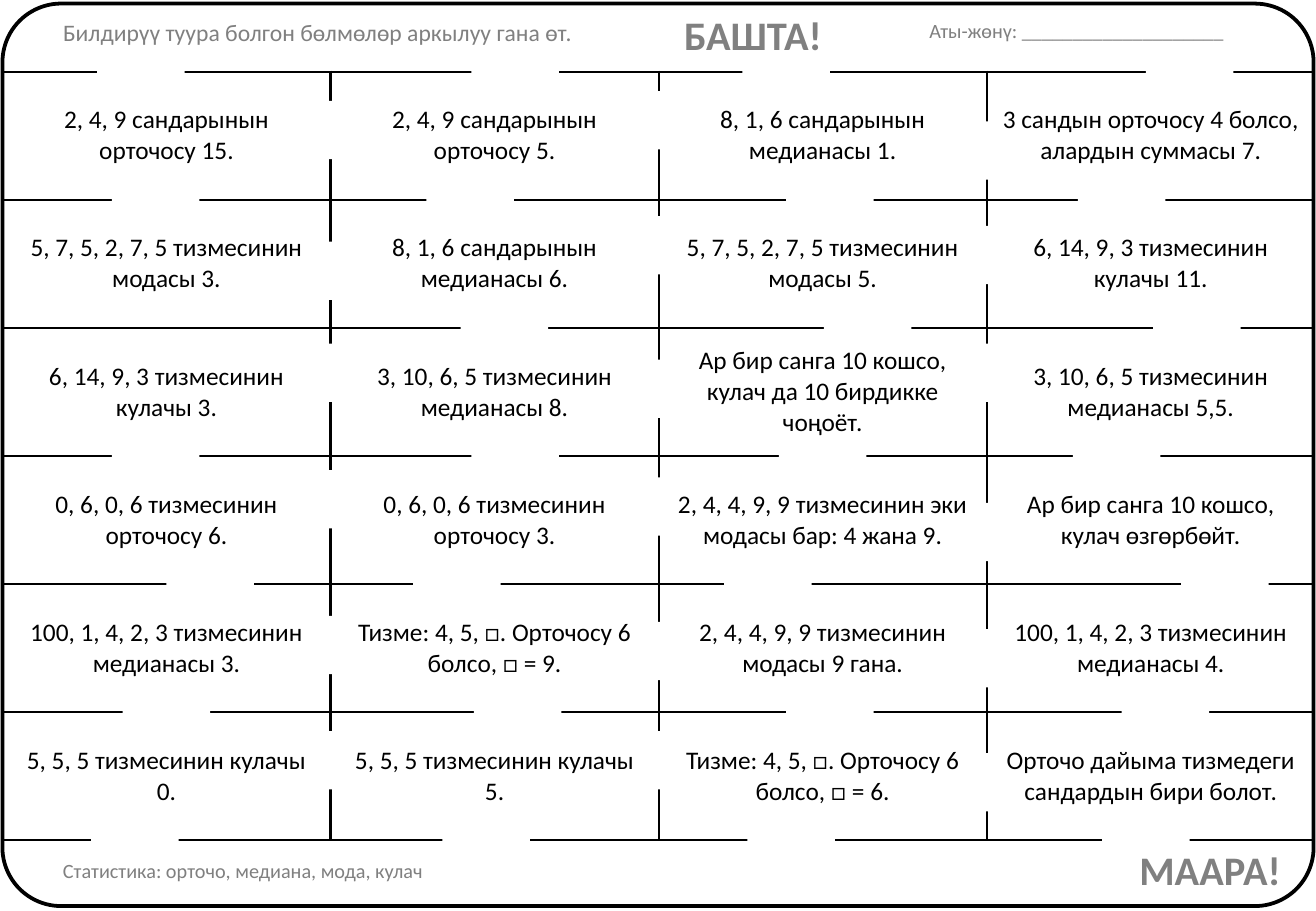
import pptx
import pptx.util
import pptx.dml.color
import pptx.enum.shapes
import pptx.enum.text
from lxml import etree

ROOMS = [
    ["2, 4, 9 сандарынын орточосу 15.", "2, 4, 9 сандарынын орточосу 5.",
     "8, 1, 6 сандарынын медианасы 1.", "3 сандын орточосу 4 болсо, алардын суммасы 7."],
    ["5, 7, 5, 2, 7, 5 тизмесинин модасы 3.", "8, 1, 6 сандарынын медианасы 6.",
     "5, 7, 5, 2, 7, 5 тизмесинин модасы 5.", "6, 14, 9, 3 тизмесинин кулачы 11."],
    ["6, 14, 9, 3 тизмесинин кулачы 3.", "3, 10, 6, 5 тизмесинин медианасы 8.",
     "Ар бир санга 10 кошсо, кулач да 10 бирдикке чоңоёт.",
     "3, 10, 6, 5 тизмесинин медианасы 5,5."],
    ["0, 6, 0, 6 тизмесинин орточосу 6.", "0, 6, 0, 6 тизмесинин орточосу 3.",
     "2, 4, 4, 9, 9 тизмесинин эки модасы бар: 4 жана 9.",
     "Ар бир санга 10 кошсо, кулач өзгөрбөйт."],
    ["100, 1, 4, 2, 3 тизмесинин медианасы 3.", "Тизме: 4, 5, □. Орточосу 6 болсо, □ = 9.",
     "2, 4, 4, 9, 9 тизмесинин модасы 9 гана.", "100, 1, 4, 2, 3 тизмесинин медианасы 4."],
    ["5, 5, 5 тизмесинин кулачы 0.", "5, 5, 5 тизмесинин кулачы 5.",
     "Тизме: 4, 5, □. Орточосу 6 болсо, □ = 6.",
     "Орточо дайыма тизмедеги сандардын бири болот."],
]
# Door tops in the three inner walls, one tuple per row of rooms
SIDE_DOORS = [(83, 75, 100), (199, 178, 186), (283, 296, 283),
              (387, 393, 414), (507, 512, 518), (602, 602, 620)]
# Door left edges in each of the seven level walls
LEVEL_DOORS = [(80, 388, 611, 943), (92, 351, 647, 887), (379, 678, 949),
               (92, 388, 641, 883), (137, 340, 596, 972), (101, 390, 647, 923),
               (75, 364, 615, 907)]
# Words, box, size, bold, align, side and top inset
LABELS = [
    ("Билдирүү туура болгон бөлмөлөр аркылуу гана өт.", (42, 10, 468, 34), 14, False, "LEFT", 10, 5),
    ("МААРА!", (865, 696, 189, 44), 24, True, "RIGHT", 0, 0),
    ("БАШТА!", (563, 8, 177, 42), 24, True, "LEFT", 0, 0),
    ("Статистика: орточо, медиана, мода, кулач", (42, 702, 547, 33), 12, False, "LEFT", 10, 5),
    ("Аты-жөнү: ____________________", (755, 10, 320, 34), 12, False, "LEFT", 10, 5),
]
COLORS = {"ink": "000000", "paper": "FFFFFF", "grey": "808080"}
FONT = "Calibri"
LEFT, TOP, WIDTH, HEIGHT = 2, 4, 1079, 743
COL, EDGE = 270, 55
ROW = (HEIGHT - 2 * EDGE) / len(ROOMS)


def px(n):
    return pptx.util.Emu(round(n * 9144))


def color(name):
    return pptx.dml.color.RGBColor.from_string(COLORS[name])


def write(frame, words, size, tint, align, bold=False):
    para = frame.paragraphs[0]
    para.alignment = getattr(pptx.enum.text.PP_ALIGN, align)
    run = para.add_run()
    run.text = words
    run.font.name, run.font.size, run.font.bold = FONT, pptx.util.Pt(size), bold
    run.font.color.rgb = color(tint)


def border(cell, sides):
    """Draw the named sides of a cell and clear the rest."""
    props = cell._tc.get_or_add_tcPr()
    for i, side in enumerate("LRTB"):
        line = pptx.oxml.parse_xml(
            '<a:ln%s xmlns:a="http://schemas.openxmlformats.org/drawingml/2006/main" w="19050"/>' % side)
        tag = "{%s}" % line.nsmap["a"]
        if side in sides:
            fill = etree.SubElement(line, tag + "solidFill")
            etree.SubElement(fill, tag + "srgbClr", val=COLORS["ink"])
        else:
            etree.SubElement(line, tag + "noFill")
        props.insert(i, line)


def add_box(kind, box):
    shape = slide.shapes.add_shape(kind, *map(px, box))
    shape.shadow.inherit = False
    return shape


def add_door(box):
    door = add_box(SHAPE.RECTANGLE, box)
    door.fill.solid()
    door.fill.fore_color.rgb = color("paper")
    door.line.fill.background()


def add_maze():
    cols, rows = len(ROOMS[0]), len(ROOMS) + 2
    grid = slide.shapes.add_table(rows, cols, *map(px, (LEFT, TOP, WIDTH, HEIGHT))).table
    grid.first_row = grid.horz_banding = False
    for col in grid.columns:
        col.width = px(COL)
    for r, row in enumerate(grid.rows):
        end = r in (0, rows - 1)
        row.height = px(EDGE if end else ROW)
        for c, cell in enumerate(row.cells):
            if end:
                cell.fill.background()
                border(cell, "T" if r else "B")
                continue
            cell.fill.solid()
            cell.fill.fore_color.rgb = color("paper")
            cell.margin_left = cell.margin_right = px(10)
            cell.margin_top = cell.margin_bottom = 0
            cell.vertical_anchor = pptx.enum.text.MSO_ANCHOR.MIDDLE
            write(cell.text_frame, ROOMS[r - 1][c], 15, "ink", "CENTER")
            border(cell, "TB" + ("L" if c else "") + ("R" if c < cols - 1 else ""))
    for r in (0, rows - 1):
        grid.cell(r, 0).merge(grid.cell(r, cols - 1))


SHAPE = pptx.enum.shapes.MSO_SHAPE
deck = pptx.Presentation()
deck.slide_width, deck.slide_height = px(1083), px(750)
slide = deck.slides.add_slide(deck.slide_layouts[6])

add_maze()
frame = add_box(SHAPE.ROUNDED_RECTANGLE, (LEFT, 3, WIDTH, HEIGHT))
frame.adjustments[0] = 0.065
frame.fill.background()
frame.line.color.rgb = color("ink")
frame.line.width = pptx.util.Pt(2.25)

for tops in SIDE_DOORS:
    for wall, top in enumerate(tops, 1):
        add_door((LEFT + wall * COL - 9, top, 16, 48))
for wall, lefts in enumerate(LEVEL_DOORS):
    for left in lefts:
        add_door((left, TOP + EDGE + wall * ROW - 6, 72, 14))

for words, box, size, bold, align, side, top in LABELS:
    text = slide.shapes.add_textbox(*map(px, box)).text_frame
    text.word_wrap = True
    text.margin_left = text.margin_right = px(side)
    text.margin_top = text.margin_bottom = px(top)
    write(text, words, size, "grey", align, bold)

deck.save("out.pptx")
